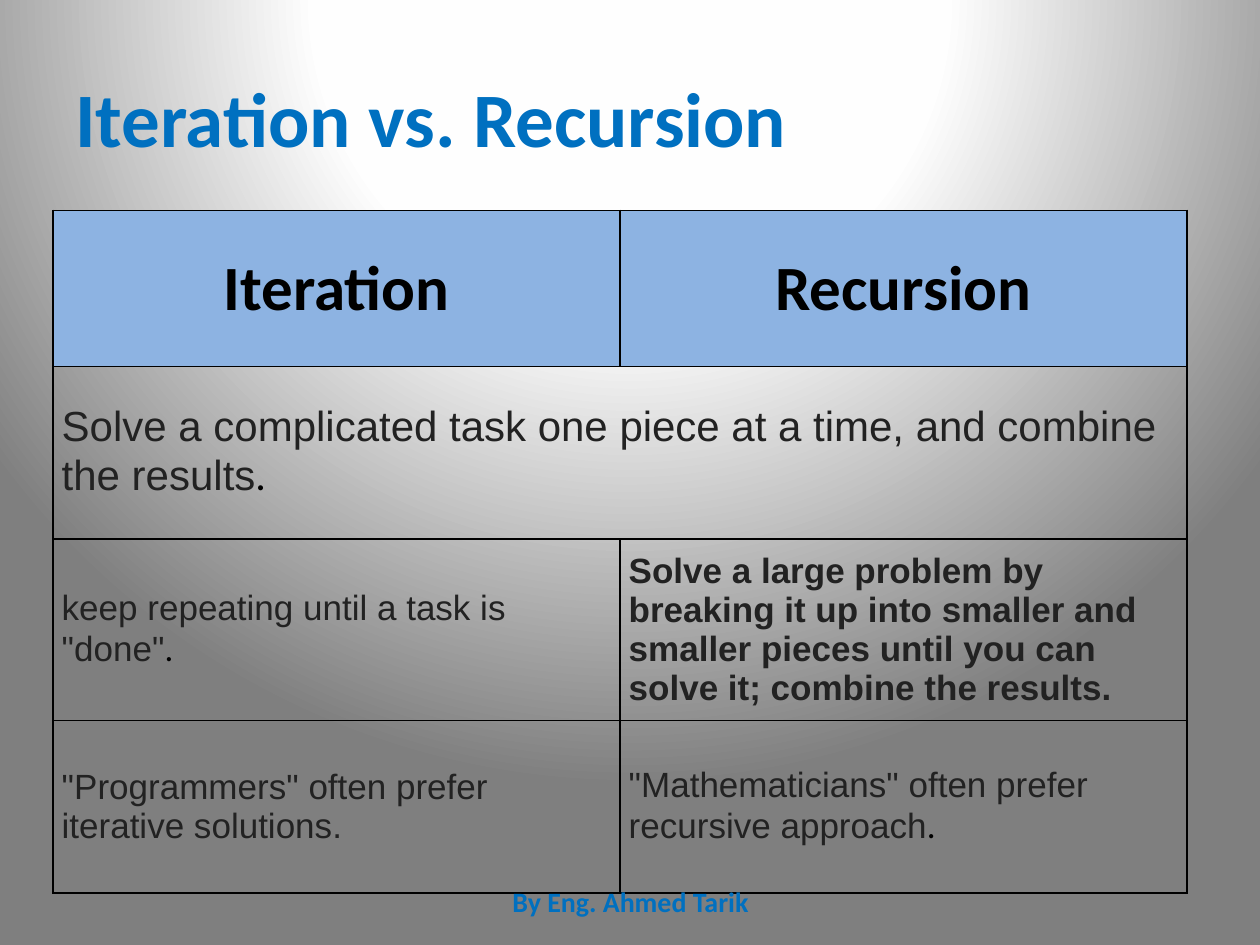
from lxml.etree import SubElement
from pptx import Presentation
from pptx.dml.color import RGBColor
from pptx.enum.text import MSO_ANCHOR, PP_ALIGN
from pptx.oxml.ns import qn
from pptx.util import Emu, Inches, Pt

COLUMNS, ROWS = 100, 75
BLUE, HEADER, INK, BLACK = "0070C0", "8DB3E2", "222222", "000000"


def color(value):
    return RGBColor.from_string(value)


class ComparisonSlide:
    """Holds the deck style and the current slide; lengths are grid units."""

    heading_font, body_font = "Calibri", "Arial"

    def __init__(self, deck):
        self.slide = deck.slides.add_slide(deck.slide_layouts[6])
        self.column = deck.slide_width / COLUMNS
        self.row = deck.slide_height / ROWS

    def box(self, left, top, width, height):
        return (Emu(round(left * self.column)), Emu(round(top * self.row)),
                Emu(round(width * self.column)), Emu(round(height * self.row)))

    def style(self, font, size, ink, bold=False, name=None):
        font.name, font.size, font.bold = name or self.heading_font, Pt(size), bold
        font.color.rgb = color(ink)

    def background(self, stops, focus):
        self.slide.background.fill.gradient()
        gradient = self.slide.background._cSld.find(".//" + qn("a:gradFill"))
        for child in list(gradient):
            gradient.remove(child)
        stop_list = SubElement(gradient, qn("a:gsLst"))
        for position, value in stops:
            stop = SubElement(stop_list, qn("a:gs"), pos=str(position * 1000))
            SubElement(stop, qn("a:srgbClr"), val=value)
        circle = SubElement(gradient, qn("a:path"), path="circle")
        SubElement(circle, qn("a:fillToRect"),
                   {side: str(share * 1000) for side, share in focus.items()})

    def text(self, wording, place, size, align=PP_ALIGN.LEFT):
        frame = self.slide.shapes.add_textbox(*self.box(*place)).text_frame
        frame.word_wrap = True
        frame.vertical_anchor = MSO_ANCHOR.MIDDLE
        line = frame.paragraphs[0]
        line.text, line.alignment = wording, align
        self.style(line.font, size, BLUE, bold=True)

    def table(self, place, row_heights, column_count):
        grid = self.slide.shapes.add_table(
            len(row_heights), column_count, *self.box(*place)).table
        grid.horz_banding = grid.first_row = False
        for table_row, height in zip(grid.rows, row_heights):
            table_row.height = Emu(round(height * self.row))
        for cell in grid.iter_cells():
            self.borders(cell)
            cell.fill.background()
            cell.vertical_anchor = MSO_ANCHOR.MIDDLE
            cell.margin_left = cell.margin_right = Inches(0.07)
            cell.margin_top = cell.margin_bottom = 0
        return grid

    def borders(self, cell):
        properties = cell._tc.get_or_add_tcPr()
        for side in ("lnL", "lnR", "lnT", "lnB"):
            line = SubElement(properties, qn("a:" + side), w=str(Pt(1)))
            fill = SubElement(line, qn("a:solidFill"))
            SubElement(fill, qn("a:srgbClr"), val=BLACK)

    def header(self, cell, wording):
        cell.fill.solid()
        cell.fill.fore_color.rgb = color(HEADER)
        line = cell.text_frame.paragraphs[0]
        line.text, line.alignment = wording, PP_ALIGN.CENTER
        self.style(line.font, 36, BLACK, bold=True)

    def statement(self, cell, wording, size=20, bold=False, black_stop=False):
        line = cell.text_frame.paragraphs[0]
        if not black_stop:
            line.text = wording
            self.style(line.font, size, INK, bold, self.body_font)
            return
        sentence, stop = line.add_run(), line.add_run()
        sentence.text, stop.text = wording, "."
        self.style(sentence.font, size, INK, bold, self.body_font)
        self.style(stop.font, size, BLACK, bold)


deck = Presentation()
deck.slide_width, deck.slide_height = Inches(10), Inches(7.5)
page = ComparisonSlide(deck)

# Background and title
page.background([(0, "FFFFFF"), (40, "FEFEFE"), (100, "7F7F7F")],
                {"l": 50, "t": -80, "r": 50, "b": 180})
page.text("Iteration vs. Recursion", (5, 3, 90, 12.5), 44)

# Comparison table
comparison = page.table((4.2, 16.7, 90, 54.2), (12.4, 13.7, 14.4, 13.7), 2)
for index, approach in enumerate(("Iteration", "Recursion")):
    page.header(comparison.cell(0, index), approach)

shared_goal = comparison.cell(1, 0)
shared_goal.merge(comparison.cell(1, 1))
page.statement(shared_goal, "Solve a complicated task one piece at a time, "
               "and combine the results", size=24, black_stop=True)
page.statement(comparison.cell(2, 0), 'keep repeating until a task is "done"',
               black_stop=True)
page.statement(comparison.cell(2, 1), "Solve a large problem by breaking it up into "
               "smaller and smaller pieces until you can solve it; "
               "combine the results.", bold=True)
page.statement(comparison.cell(3, 0),
               '"Programmers" often prefer iterative solutions.')
page.statement(comparison.cell(3, 1),
               '"Mathematicians" often prefer recursive approach', black_stop=True)

# Author line
page.text("By Eng. Ahmed Tarik", (34.2, 69.5, 31.7, 4), 16, PP_ALIGN.CENTER)

deck.save("out.pptx")
